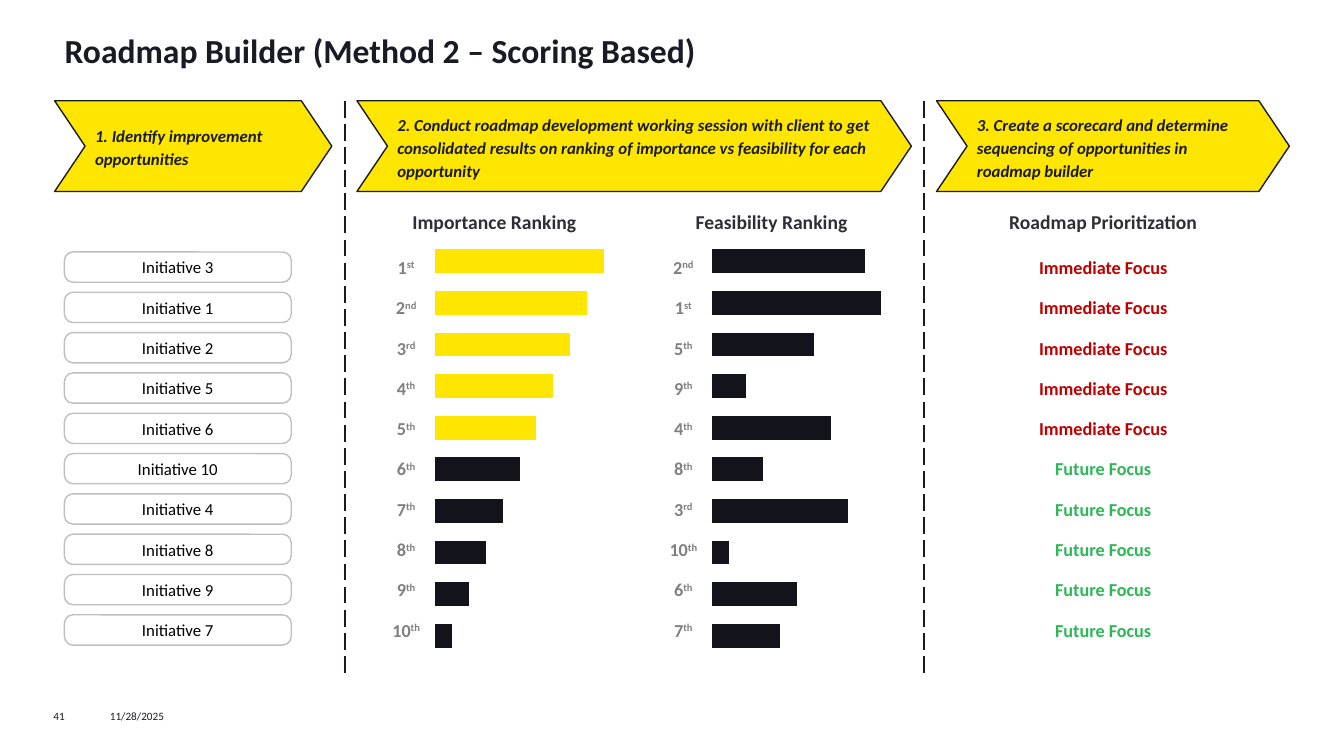
from dataclasses import dataclass

from lxml import etree
from pptx import Presentation
from pptx import util as u
from pptx.chart import data as chart_data
from pptx.dml import color
from pptx.enum import chart as charts, dml, shapes, text
from pptx.oxml import ns


@dataclass(frozen=True)
class Theme:
    font: str = "Calibri"
    ink: str = "1A1A24"
    heading: str = "2E2E38"
    accent: str = "FFE600"
    bar: str = "13131B"
    outline: str = "BFBFBF"
    black: str = "000000"
    white: str = "FFFFFF"
    rank: str = "808080"
    immediate: str = "C00000"
    future: str = "2DB757"
    title_size: int = 24
    heading_size: int = 14
    label_size: int = 13
    body_size: int = 12
    chart_size: int = 10
    footer_size: int = 8


THEME = Theme()

# Row grid and column positions, in points
ROW_TOP, ROW_STEP, ROW_HEIGHT = 180, 28.8, 21.6
STEP_TOP, STEP_HEIGHT = 72, 64.8
STEPS = [
    (39, 198, "1. Identify improvement opportunities"),
    (255, 396, "2. Conduct roadmap development working session with client to get "
               "consolidated results on ranking of importance vs feasibility for each opportunity"),
    (669, 252, "3. Create a scorecard and determine sequencing of opportunities in roadmap builder"),
]
DIVIDERS = [246.24, 660.24]
DIVIDER_BOTTOM = 482.4

INITIATIVES = [3, 1, 2, 5, 6, 10, 4, 8, 9, 7]
FOCUS_COUNT = 5  # initiatives in immediate focus
RANKINGS = [
    (272.16, "Importance Ranking", list(range(1, 11)), FOCUS_COUNT),
    (470.16, "Feasibility Ranking", [2, 1, 5, 9, 4, 8, 3, 10, 6, 7], 0),
]


def rgb(value):
    return color.RGBColor.from_string(value)


def box(left, top, width, height):
    return [u.Pt(value) for value in (left, top, width, height)]


def row_top(index):
    return ROW_TOP + index * ROW_STEP


def format_font(font, size, colour, **extra):
    values = {"name": THEME.font, "size": u.Pt(size), **extra}
    for name, value in values.items():
        setattr(font, name, value)
    font.color.rgb = rgb(colour)


def write(shape, content, size, colour, align=text.PP_ALIGN.CENTER,
          anchor=text.MSO_ANCHOR.MIDDLE, insets=(7.2, 3.6, 7.2, 3.6), **extra):
    """Fill a shape with one paragraph and return the paragraph."""
    frame = shape.text_frame
    left, top, right, bottom = (u.Pt(inset) for inset in insets)
    values = {"word_wrap": True, "auto_size": text.MSO_AUTO_SIZE.NONE, "vertical_anchor": anchor,
              "margin_left": left, "margin_top": top, "margin_right": right, "margin_bottom": bottom}
    for name, value in values.items():
        setattr(frame, name, value)
    paragraph = frame.paragraphs[0]
    paragraph.alignment = align
    run = paragraph.add_run()
    run.text = content
    format_font(run.font, size, colour, **extra)
    return paragraph


def add_label(slide, area, content, size, colour, **options):
    return write(slide.shapes.add_textbox(*box(*area)), content, size, colour, **options)


def add_panel(slide, kind, area, adjustment, fill, outline):
    shape = slide.shapes.add_shape(kind, *box(*area))
    shape.shadow.inherit = False
    shape.adjustments[0] = adjustment
    if fill:
        shape.fill.solid()
        shape.fill.fore_color.rgb = rgb(fill)
    else:
        shape.fill.background()
    shape.line.color.rgb = rgb(outline)
    shape.line.width = u.Pt(1)
    return shape


def add_title(slide, content):
    title = slide.shapes.title
    title.left, title.top, title.width, title.height = box(39, 18, 882, 43.2)
    write(title, content, THEME.title_size, THEME.ink, align=text.PP_ALIGN.LEFT,
          anchor=text.MSO_ANCHOR.TOP, insets=(7.2, 3.6, 7.2, 0), bold=True)


def add_step(slide, left, width, content):
    shape = add_panel(slide, shapes.MSO_SHAPE.CHEVRON, (left, STEP_TOP, width, STEP_HEIGHT),
                      0.336, THEME.accent, THEME.ink)
    paragraph = write(shape, content, THEME.body_size, THEME.ink,
                      align=text.PP_ALIGN.LEFT, bold=True, italic=True)
    paragraph.line_spacing = 1.14


def add_divider(slide, left):
    divider = slide.shapes.add_connector(shapes.MSO_CONNECTOR.STRAIGHT, u.Pt(left), u.Pt(STEP_TOP),
                                         u.Pt(left), u.Pt(DIVIDER_BOTTOM))
    divider.line.color.rgb = rgb(THEME.ink)
    divider.line.width = u.Pt(1.5)
    divider.line.dash_style = dml.MSO_LINE.LONG_DASH
    etree.SubElement(divider._element.spPr, ns.qn("a:effectLst"))


def add_heading(slide, left, width, content):
    add_label(slide, (left, 145.4, width, 25.2), content,
              THEME.heading_size, THEME.heading, bold=True)


def add_rank(slide, left, top, rank):
    paragraph = add_label(slide, (left, top, 36, ROW_HEIGHT), str(rank), THEME.label_size,
                          THEME.rank, insets=(3.6,) * 4, bold=True)
    suffix = paragraph.add_run()
    suffix.text = {1: "st", 2: "nd", 3: "rd"}.get(rank, "th")
    format_font(suffix.font, THEME.label_size, THEME.rank, bold=True)
    suffix._r.get_or_add_rPr().set("baseline", "30000")


def add_ranking_chart(slide, left, ranks, highlighted):
    data = chart_data.CategoryChartData()
    data.categories = [str(number) for number in range(1, len(ranks) + 1)]
    data.add_series("Series 1", [110 - 10 * rank for rank in ranks])
    chart = slide.shapes.add_chart(charts.XL_CHART_TYPE.BAR_CLUSTERED,
                                   *box(left, 165.6, 126, 309.6), data).chart
    chart.has_legend = chart.has_title = False
    format_font(chart.font, THEME.chart_size, THEME.white)
    # Hidden axes
    axes = [
        (chart.category_axis, {"reverse_order": True}),
        (chart.value_axis, {"minimum_scale": 0, "maximum_scale": 100, "major_unit": 20}),
    ]
    for axis, values in axes:
        for name, value in {**values, "visible": False, "has_major_gridlines": False}.items():
            setattr(axis, name, value)
    # Bars, with the leading ones highlighted
    plot = chart.plots[0]
    plot.gap_width = 75
    plot.vary_by_categories = False
    series = plot.series[0]
    bars = [(series, THEME.bar)]
    bars += [(series.points[index], THEME.accent) for index in range(highlighted)]
    for bar, colour in bars:
        bar.format.fill.solid()
        bar.format.fill.fore_color.rgb = rgb(colour)


def main():
    presentation = Presentation()
    presentation.slide_width, presentation.slide_height = u.Pt(960), u.Pt(540)
    slide = presentation.slides.add_slide(presentation.slide_layouts[5])
    add_title(slide, "Roadmap Builder (Method 2 – Scoring Based)")

    # Process steps and dividers
    for step in STEPS:
        add_step(slide, *step)
    for left in DIVIDERS:
        add_divider(slide, left)

    # Initiatives and their prioritization
    add_heading(slide, 689, 198, "Roadmap Prioritization")
    for index, number in enumerate(INITIATIVES):
        top = row_top(index)
        initiative = add_panel(slide, shapes.MSO_SHAPE.ROUNDED_RECTANGLE,
                               (46, top, 162, ROW_HEIGHT), 0.286, None, THEME.outline)
        write(initiative, f"Initiative {number}", THEME.body_size, THEME.black)
        focus, colour = (("Immediate Focus", THEME.immediate) if index < FOCUS_COUNT
                         else ("Future Focus", THEME.future))
        add_label(slide, (725, top, 126, ROW_HEIGHT), focus, THEME.label_size, colour, bold=True)

    # Ranking columns
    for left, heading, ranks, highlighted in RANKINGS:
        add_heading(slide, left, 162, heading)
        add_ranking_chart(slide, left + 36, ranks, highlighted)
        for index, rank in enumerate(ranks):
            add_rank(slide, left, row_top(index), rank)

    # Footer
    for left, width, content in [(38.2, 40.3, "41"), (78.5, 100.8, "11/28/2025")]:
        add_label(slide, (left, 506.9, width, 9.4), content, THEME.footer_size, THEME.ink,
                  align=text.PP_ALIGN.LEFT, anchor=text.MSO_ANCHOR.TOP, insets=(0,) * 4)
    presentation.save("out.pptx")


if __name__ == "__main__":
    main()
